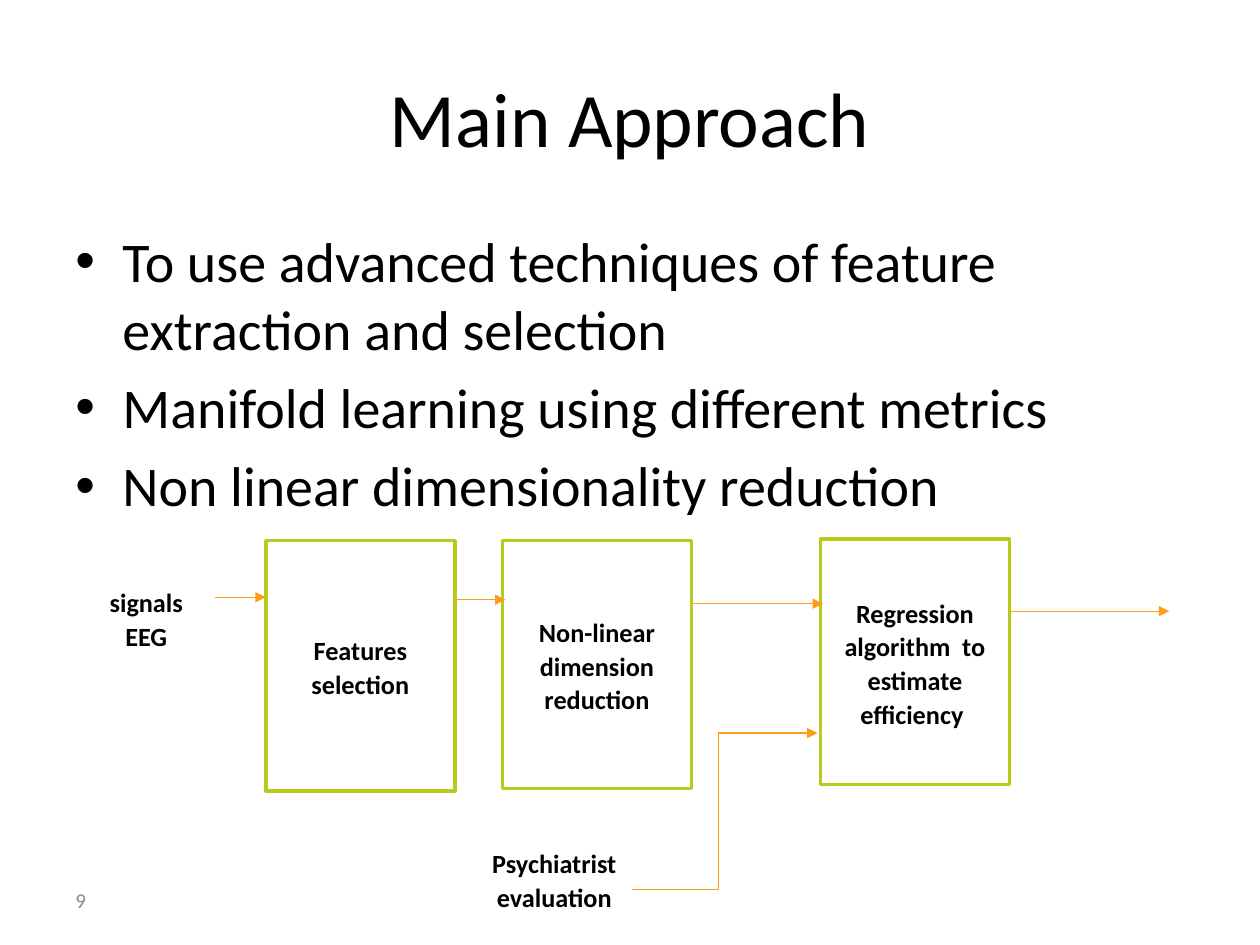
from dataclasses import dataclass

from lxml import etree
from pptx import Presentation
from pptx import util as u
from pptx.dml.color import RGBColor
from pptx.enum import shapes, text
from pptx.oxml import ns


@dataclass(frozen=True)
class Theme:
    font: str = "Calibri"
    ink: str = "000000"
    muted: str = "8C8C8C"
    paper: str = "FFFFFF"
    border: str = "B9CA1A"
    arrow: str = "FD9D1D"
    title_size: int = 44
    body_size: int = 32
    label_size: int = 15
    number_size: int = 12
    border_width: float = 2
    arrow_width: float = 0.75


THEME = Theme()
CENTER = {"alignment": text.PP_ALIGN.CENTER}
LABEL = {**CENTER, "line_spacing": 1.07, "space_after": u.Pt(8)}
MIDDLE = text.MSO_ANCHOR.MIDDLE
TOP = text.MSO_ANCHOR.TOP

BULLETS = [
    "To use advanced techniques of feature extraction and selection",
    "Manifold learning using different metrics",
    "Non linear dimensionality reduction",
]
STAGE_WIDTH = 3.81
STAGES = [
    ("Features selection", 5.36, 10.9, 5.05),
    ("Non-linear dimension reduction", 10.13, 10.9, 5),
    ("Regression algorithm  to estimate efficiency ", 16.54, 10.87, 4.95),
]
FLOWS = [(4.34, 5.36, 12.04), (9.17, 10.19, 12.09), (13.97, 16.59, 12.17), (20.35, 23.57, 12.32)]
INPUTS = [("signals EEG", 1.83, 11.66, 2.24), ("Psychiatrist evaluation", 9.6, 16.92, 3.15)]
INPUT_HEIGHT = 2.21


def set_values(target, values):
    for name, value in values.items():
        setattr(target, name, value)


def cm(*lengths):
    return [u.Cm(length) for length in lengths]


def write(shape, lines, size, layout, anchor=TOP, color=THEME.ink, bold=False):
    frame = shape.text_frame
    set_values(frame, {"text": "\n".join(lines), "word_wrap": True,
                       "auto_size": text.MSO_AUTO_SIZE.NONE, "vertical_anchor": anchor})
    for paragraph in frame.paragraphs:
        set_values(paragraph, layout)
        for run in paragraph.runs:
            set_values(run.font, {"name": THEME.font, "size": u.Pt(size), "bold": bold})
            run.font.color.rgb = RGBColor.from_string(color)


def set_title(slide, words):
    title = slide.shapes.title
    set_values(title, dict(zip(("left", "top", "width", "height"), cm(1.27, 0.76, 22.86, 3.18))))
    write(title, [words], THEME.title_size, CENTER, MIDDLE)


def add_bullets(slide, lines):
    box = slide.shapes.add_textbox(*cm(1.27, 4.45, 22.86, 12.57))
    write(box, lines, THEME.body_size, {"space_before": u.Pt(THEME.body_size * 0.2)})
    indent = u.Cm(0.95)
    for paragraph in box.text_frame.paragraphs:
        properties = paragraph._p.get_or_add_pPr()
        properties.set("marL", str(indent))
        properties.set("indent", str(-indent))
        etree.SubElement(properties, ns.qn("a:buFont")).set("typeface", "Arial")
        etree.SubElement(properties, ns.qn("a:buChar")).set("char", "•")


def add_block(slide, kind, words, place, anchor, border=None):
    block = slide.shapes.add_shape(kind, *cm(*place))
    block.shadow.inherit = False
    block.fill.solid()
    block.fill.fore_color.rgb = RGBColor.from_string(THEME.paper)
    if border:
        block.line.color.rgb = RGBColor.from_string(border)
        block.line.width = u.Pt(THEME.border_width)
    else:
        block.line.fill.background()
    write(block, [words], THEME.label_size, LABEL, anchor, bold=True)


def add_arrow(slide, kind, start, end):
    arrow = slide.shapes.add_connector(kind, *cm(*start, *end))
    arrow.line.color.rgb = RGBColor.from_string(THEME.arrow)
    arrow.line.width = u.Pt(THEME.arrow_width)
    etree.SubElement(arrow.line._get_or_add_ln(), ns.qn("a:tailEnd")).set("type", "triangle")
    etree.SubElement(arrow._element.spPr, ns.qn("a:effectLst"))


def add_page_number(slide, number):
    box = slide.shapes.add_textbox(*cm(1.27, 17.65, 5.93, 1.01))
    write(box, [number], THEME.number_size, {"alignment": text.PP_ALIGN.LEFT}, MIDDLE, THEME.muted)


def main():
    presentation = Presentation()
    set_values(presentation, {"slide_width": u.Cm(25.4), "slide_height": u.Cm(19.05)})
    slide = presentation.slides.add_slide(presentation.slide_layouts.get_by_name("Title Only"))
    set_title(slide, "Main Approach")
    add_bullets(slide, BULLETS)
    add_page_number(slide, "9")
    for words, left, top, height in STAGES:
        add_block(slide, shapes.MSO_SHAPE.FLOWCHART_PROCESS, words,
                  (left, top, STAGE_WIDTH, height), MIDDLE, THEME.border)
    for start, end, level in FLOWS:
        add_arrow(slide, shapes.MSO_CONNECTOR.STRAIGHT, (start, level), (end, level))
    add_arrow(slide, shapes.MSO_CONNECTOR.ELBOW, (12.5, 17.93), (16.48, 14.78))
    for words, left, top, width in INPUTS:
        add_block(slide, shapes.MSO_SHAPE.RECTANGLE, words, (left, top, width, INPUT_HEIGHT), TOP)
    presentation.save("out.pptx")


if __name__ == "__main__":
    main()
